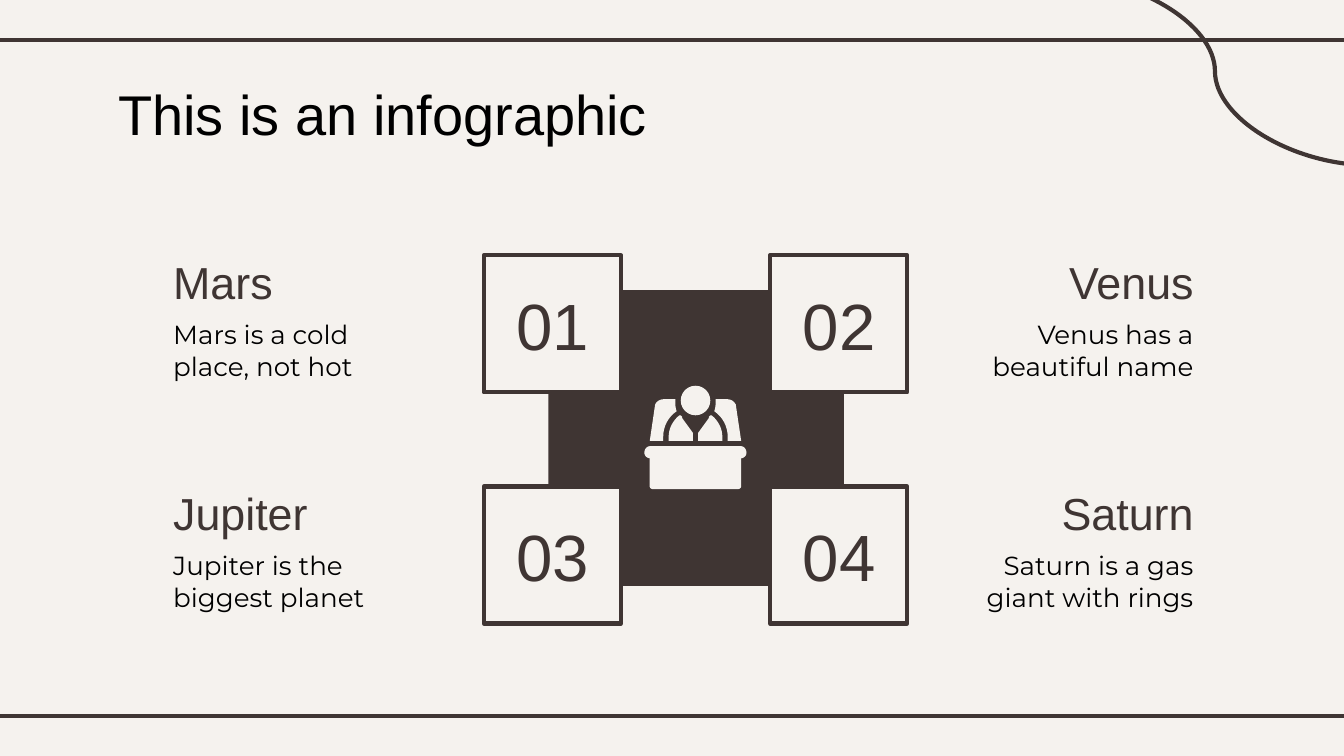
"""Build a slide with four numbered planets around a speaker icon."""
from typing import NamedTuple

from lxml import etree
from pptx import Presentation, util as u
from pptx.dml.color import RGBColor
from pptx.enum import shapes, text
from pptx.oxml import ns

WIDTH = 10
HEIGHT = WIDTH * 9 / 16
DARK, LIGHT, BLACK = "3F3533", "F5F2EE", "000000"
COLUMN_LEFT, COLUMN_PITCH = 3.6, 2.13
ROW_TOP, ROW_PITCH = 1.9, 1.72
TILE = 1.02
TEXT_LEFT, TEXT_RIGHT = 1.19, 8.98
ICON_AXIS = 4.79 + 0.77 / 2
ALIGN = text.PP_ALIGN
ANCHOR = text.MSO_ANCHOR


class Planet(NamedTuple):
    column: int
    row: int
    number: str
    name: str
    fact: str


class Style(NamedTuple):
    size: float
    font: str
    color: str
    align: ALIGN = ALIGN.LEFT
    anchor: ANCHOR = ANCHOR.TOP


class Outline(NamedTuple):
    start: tuple
    segments: list


PLANETS = [
    Planet(0, 0, "01", "Mars", "Mars is a cold place, not hot"),
    Planet(1, 0, "02", "Venus", "Venus has a beautiful name"),
    Planet(0, 1, "03", "Jupiter", "Jupiter is the biggest planet"),
    Planet(1, 1, "04", "Saturn", "Saturn is a gas giant with rings"),
]

HALF_DESK = Outline((-0.34, 3.32), [
    [(-0.36, 3.32), (-0.38, 3.34), (-0.38, 3.37)],
    [(-0.38, 3.39), (-0.36, 3.41), (-0.34, 3.41)],
    [(-0.34, 3.62)],
    [(-0.34, 3.63), (-0.33, 3.64), (-0.31, 3.64)],
])
CHAIR_SIDE = Outline((0.15, 2.97), [
    [(0.15, 2.97), (0.15, 2.98), (0.15, 2.99)],
    [(0.15, 3.01), (0.15, 3.03), (0.14, 3.06)],
    [(0.2, 3.1), (0.24, 3.17), (0.24, 3.25)],
    [(0.24, 3.28)], [(0.34, 3.28)], [(0.3, 3.01)],
    [(0.29, 2.99), (0.27, 2.97), (0.23, 2.97)],
])
TORSO_SIDE = Outline((0.12, 3.09), [
    [(0.11, 3.09), (0.11, 3.09), (0.1, 3.1)],
    [(0.1, 3.1), (0.1, 3.11), (0.1, 3.11)],
    [(0.02, 3.22)], [(0.02, 3.28)], [(0.2, 3.28)], [(0.2, 3.25)],
    [(0.2, 3.19), (0.17, 3.13), (0.12, 3.09)],
])


def rgb(color: str) -> RGBColor:
    return RGBColor.from_string(color)


def paint(shape, fill: str, line: str = "") -> None:
    shape.shadow.inherit = False
    shape.fill.solid()
    shape.fill.fore_color.rgb = rgb(fill)
    if line:
        shape.line.color.rgb = rgb(line)
        shape.line.width = u.Pt(2.25)
    else:
        shape.line.fill.background()


def add_preset(slide, kind, left: float, top: float, side: float, fill: str, line: str = "") -> None:
    box = [u.Inches(value) for value in (left, top, side, side)]
    paint(slide.shapes.add_shape(kind, *box), fill, line)


def add_rule(slide, kind, *ends: float) -> None:
    rule = slide.shapes.add_connector(kind, *map(u.Inches, ends))
    rule.line.color.rgb = rgb(DARK)
    rule.line.width = u.Pt(2.25)
    etree.SubElement(rule.element.spPr, ns.qn("a:effectLst"))


def write(frame, words: str, style: Style) -> None:
    frame.word_wrap = True
    frame.auto_size = text.MSO_AUTO_SIZE.NONE
    frame.vertical_anchor = style.anchor
    frame.margin_left = frame.margin_right = u.Inches(0.1)
    frame.margin_top = frame.margin_bottom = u.Inches(0.1)
    frame.text = words
    paragraph = frame.paragraphs[0]
    paragraph.alignment = style.align
    paragraph.font.size = u.Pt(style.size)
    paragraph.font.name = style.font
    paragraph.font.color.rgb = rgb(style.color)


def add_text(slide, left: float, top: float, width: float, height: float, words: str, style: Style) -> None:
    box = slide.shapes.add_textbox(*map(u.Inches, (left, top, width, height)))
    write(box.text_frame, words, style)


def flatten(outline: Outline, steps: int = 8) -> list:
    points = [outline.start]
    for segment in outline.segments:
        if len(segment) == 1:
            points += segment
            continue
        corners = [points[-1], *segment]
        for step in range(1, steps + 1):
            t = step / steps
            weights = ((1 - t) ** 3, 3 * t * (1 - t) ** 2, 3 * t * t * (1 - t), t ** 3)
            points.append(tuple(sum(w * c[axis] for w, c in zip(weights, corners)) for axis in (0, 1)))
    return points


def mirror(points: list) -> list:
    return [(-x, y) for x, y in reversed(points)]


def add_outline(slide, points: list) -> None:
    start, *rest = [(u.Inches(ICON_AXIS + x), u.Inches(y)) for x, y in points]
    builder = slide.shapes.build_freeform(*start)
    builder.add_line_segments(rest, close=True)
    paint(builder.convert_to_shape(), LIGHT)


def add_speaker(slide) -> None:
    add_preset(slide, shapes.MSO_SHAPE.OVAL, ICON_AXIS - 0.11, 2.87, 0.22, LIGHT)
    desk = flatten(HALF_DESK)
    add_outline(slide, desk + mirror(desk))
    for outline in (CHAIR_SIDE, TORSO_SIDE):
        side = flatten(outline)
        add_outline(slide, side)
        add_outline(slide, mirror(side))


def add_planet(slide, planet: Planet) -> None:
    left = COLUMN_LEFT + planet.column * COLUMN_PITCH
    top = ROW_TOP + planet.row * ROW_PITCH
    align = ALIGN.RIGHT if planet.column else ALIGN.LEFT
    name_width, fact_width = 2, 1.82
    name_left, fact_left = [
        TEXT_RIGHT - width if planet.column else TEXT_LEFT for width in (name_width, fact_width)
    ]
    add_text(slide, name_left, top, name_width, 0.39, planet.name,
             Style(24, "Arial", DARK, align, ANCHOR.MIDDLE))
    add_text(slide, fact_left, top + 0.37, fact_width, 0.78, planet.fact,
             Style(14, "Montserrat", BLACK, align))
    add_preset(slide, shapes.MSO_SHAPE.RECTANGLE, left, top, TILE, LIGHT, DARK)
    add_text(slide, left - 0.04, top + 0.15, 1.11, 0.73, planet.number,
             Style(35, "Arial", DARK, ALIGN.CENTER, ANCHOR.MIDDLE))


def main() -> None:
    deck = Presentation()
    deck.slide_width, deck.slide_height = u.Inches(WIDTH), u.Inches(HEIGHT)
    slide = deck.slides.add_slide(deck.slide_layouts[5])
    slide.background.fill.solid()
    slide.background.fill.fore_color.rgb = rgb(LIGHT)

    for rule_y in (0.3, 5.33):
        add_rule(slide, shapes.MSO_CONNECTOR.STRAIGHT, -0.08, rule_y, WIDTH + 0.08, rule_y)
    add_rule(slide, shapes.MSO_CONNECTOR.CURVE, 7.88, -0.17, 10.2, 1.23)

    title = slide.shapes.title
    title.left, title.top, title.width, title.height = map(u.Inches, (0.78, 0.49, 8.44, 0.63))
    write(title.text_frame, "This is an infographic", Style(30, "Arial", BLACK))

    add_preset(slide, shapes.MSO_SHAPE.RECTANGLE, 4.08, 2.16, 2.2, DARK)
    add_speaker(slide)
    for planet in PLANETS:
        add_planet(slide, planet)
    deck.save("out.pptx")


if __name__ == "__main__":
    main()
